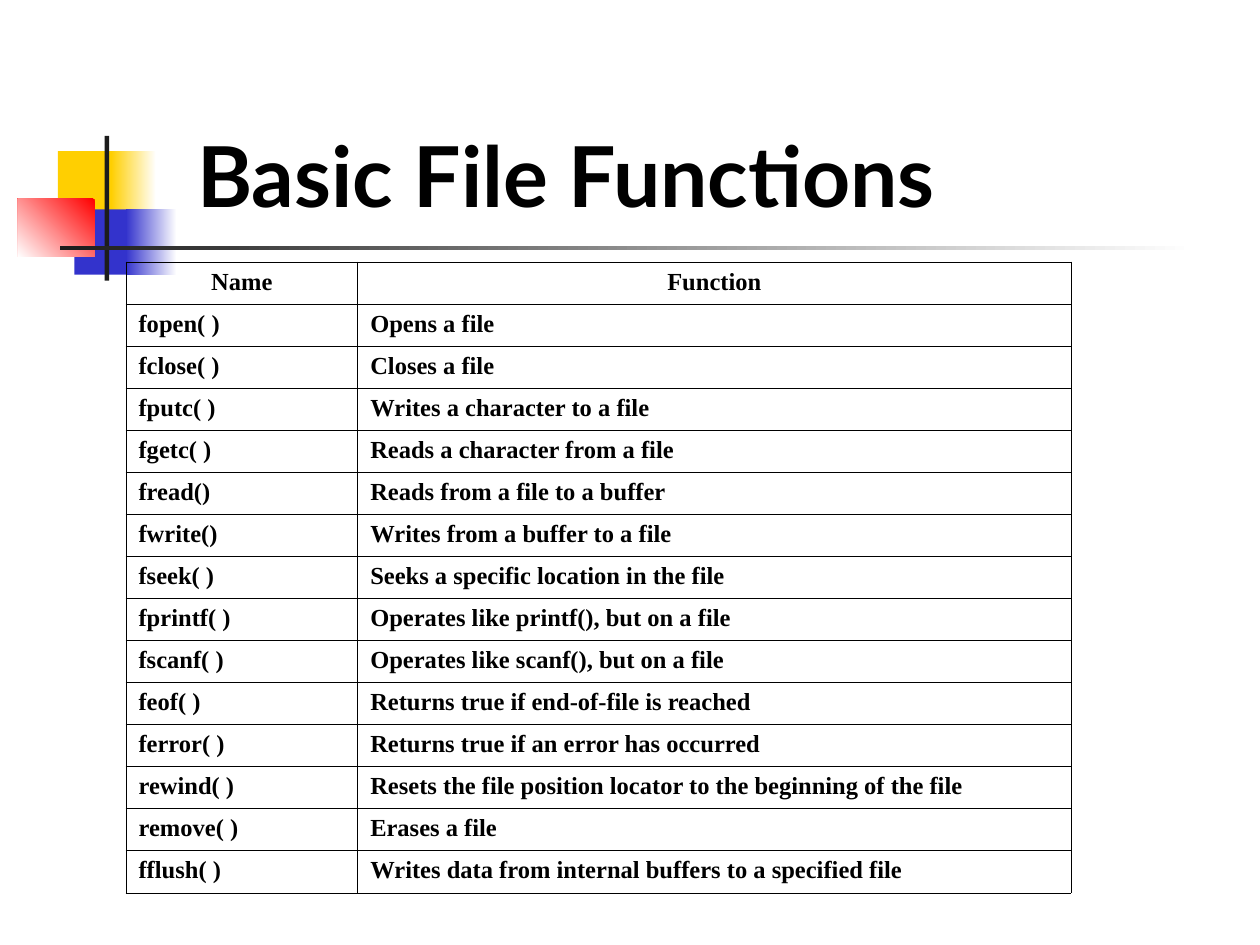
import pptx
import pptx.dml.color
import pptx.enum.text
import pptx.enum.shapes
import pptx.oxml
import pptx.util
import lxml.etree

Cm = pptx.util.Cm
Pt = pptx.util.Pt
RGBColor = pptx.dml.color.RGBColor
ALIGN = pptx.enum.text.PP_ALIGN

BLACK = RGBColor(0x00, 0x00, 0x00)
WHITE = RGBColor(0xFF, 0xFF, 0xFF)
YELLOW = RGBColor(0xFF, 0xCF, 0x01)
BLUE = RGBColor(0x33, 0x33, 0xCC)
RED = RGBColor(0xFF, 0x00, 0x00)
CHARCOAL = RGBColor(0x1C, 0x1C, 0x1C)

ROWS = [
    ("Name", "Function"),
    ("fopen( )", "Opens a file"),
    ("fclose( )", "Closes a file"),
    ("fputc( )", "Writes a character to a file"),
    ("fgetc( )", "Reads a character from a file"),
    ("fread()", "Reads from a file to a buffer"),
    ("fwrite()", "Writes from a buffer to a file"),
    ("fseek( )", "Seeks a specific location in the file"),
    ("fprintf( )", "Operates like printf(), but on a file"),
    ("fscanf( )", "Operates like scanf(), but on a file"),
    ("feof( )", "Returns true if end-of-file is reached"),
    ("ferror( )", "Returns true if an error has occurred"),
    ("rewind( )", "Resets the file position locator to the beginning of the file"),
    ("remove( )", "Erases a file"),
    ("fflush( )", "Writes data from internal buffers to a specified file"),
]


def write_text(tf, text, *, font, size, color=BLACK, bold=True, align=ALIGN.LEFT):
    p = tf.paragraphs[0]
    p.alignment = align
    r = p.add_run()
    r.text = text
    r.font.name = font
    r.font.size = Pt(size)
    r.font.bold = bold
    r.font.color.rgb = color


def add_block(s, x, y, w, h, colors, angle=180):
    sp = s.shapes.add_shape(
        pptx.enum.shapes.MSO_SHAPE.RECTANGLE, Cm(x), Cm(y), Cm(w), Cm(h)
    )
    sp.shadow.inherit = False
    sp.line.fill.background()
    if len(colors) == 1:
        sp.fill.solid()
        sp.fill.fore_color.rgb = colors[0]
        return
    sp.fill.gradient()
    sp.fill.gradient_angle = angle
    for stop, color, position in zip(sp.fill.gradient_stops, colors, (0, 1)):
        stop.color.rgb = color
        stop.position = position


def add_ornament(s, x, y, w, h):
    side = 1.32
    for color, dx, dy, solid_w, fade_dx, fade_w in (
        (YELLOW, 0.81, 0.31, 1.22, 1.88, 0.91),
        (BLUE, 1.14, 1.48, 1.17, 2.18, 1.02),
    ):
        add_block(s, x + dx, y + dy, solid_w, side, [color])
        add_block(s, x + fade_dx, y + dy, fade_w, side, [WHITE, color])
    add_block(s, x, y + 1.27, 1.55, 1.17, [RED, WHITE], angle=225)
    add_block(s, x + 1.75, y, 0.09, h, [CHARCOAL])
    add_block(s, x + 0.86, y + 2.21, w - 0.86, 0.09, [WHITE, CHARCOAL])


def add_title(s, x, y, w, h):
    tf = s.shapes.add_textbox(Cm(x), Cm(y), Cm(w), Cm(h)).text_frame
    tf.word_wrap = False
    tf.auto_size = pptx.enum.text.MSO_AUTO_SIZE.SHAPE_TO_FIT_TEXT
    write_text(tf, "Basic File Functions", font="Lato", size=48)


def set_borders(cell, color, width):
    tcPr = cell._tc.get_or_add_tcPr()
    for i, side in enumerate(("lnL", "lnR", "lnT", "lnB")):
        ln = lxml.etree.Element(pptx.oxml.ns.qn("a:" + side), w=str(Pt(width)))
        fill = lxml.etree.SubElement(ln, pptx.oxml.ns.qn("a:solidFill"))
        lxml.etree.SubElement(fill, pptx.oxml.ns.qn("a:srgbClr"), val=str(color))
        tcPr.insert(i, ln)


def add_function_table(s, x, y, w, h):
    name_w = 4.67
    table = s.shapes.add_table(
        len(ROWS), 2, Cm(x), Cm(y), Cm(w), Cm(h)
    ).table
    table.first_row = False
    table.horz_banding = False
    table.columns[0].width = Cm(name_w)
    table.columns[1].width = Cm(w - name_w)
    for i, row in enumerate(ROWS):
        table.rows[i].height = Cm(h / len(ROWS))
        align = ALIGN.JUSTIFY if i else ALIGN.CENTER
        for j, text in enumerate(row):
            cell = table.cell(i, j)
            cell.fill.background()
            set_borders(cell, BLACK, 0.45)
            write_text(cell.text_frame, text, font="Times New Roman", size=14, align=align)


def main():
    prs = pptx.Presentation()
    prs.slide_width = Cm(25.4)
    prs.slide_height = Cm(19.05)
    s = prs.slides.add_slide(prs.slide_layouts[6])
    add_ornament(s, 0.36, 2.74, 23.72, 2.92)
    add_title(s, 3.73, 2.36, 17.45, 2.29)
    add_function_table(s, 2.54, 5.28, 19.05, 12.62)
    prs.save("out.pptx")


if __name__ == "__main__":
    main()
